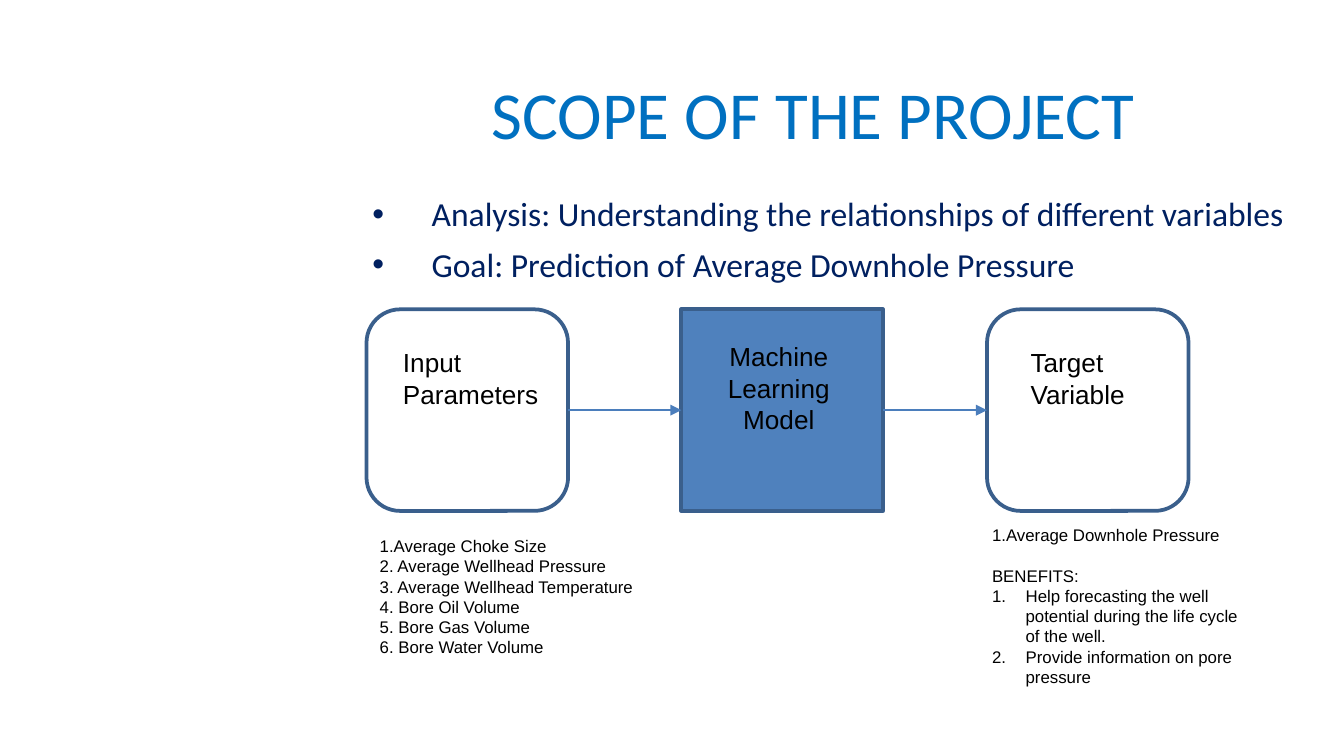
"""Build the project scope slide: two aims and a three-stage flow from inputs to target."""
from dataclasses import dataclass

from lxml.etree import SubElement
from pptx import Presentation
from pptx.dml.color import RGBColor as Rgb
from pptx.enum.shapes import MSO_CONNECTOR as Link, MSO_SHAPE as Shape
from pptx.enum.text import MSO_ANCHOR as Anchor, MSO_AUTO_SIZE as Fit, PP_ALIGN as Align
from pptx.oxml.ns import qn
from pptx.util import Inches, Pt


@dataclass(frozen=True)
class Theme:
    heading: str = "0070C0"
    aim: str = "002060"
    ink: str = "000000"
    paper: str = "FFFFFF"
    model: str = "4F81BD"
    border: str = "3A5F8C"
    arrow: str = "4B7EBC"
    heading_font: str = "Calibri"
    label_font: str = "Arial"
    heading_size: float = 36
    aim_size: float = 18
    label_size: float = 14
    note_size: float = 9


theme = Theme()
deck = Presentation()
deck.slide_width = Inches(10)
deck.slide_height = deck.slide_width * 9 // 16
slide = deck.slides.add_slide(deck.slide_layouts[5])
cell = deck.slide_width / 100


def grid(*cells):
    return [round(count * cell) for count in cells]


def write(frame, text, size=theme.note_size, font=theme.label_font, color=theme.ink,
          align=Align.LEFT, anchor=Anchor.TOP, marker=None, indent=0, hang=0, gap=0, more=False):
    frame.word_wrap, frame.auto_size, frame.vertical_anchor = True, Fit.NONE, anchor
    for index, line in enumerate(text.split("\n")):
        following = more or index > 0
        paragraph = frame.add_paragraph() if following else frame.paragraphs[0]
        paragraph.alignment = align
        if following:
            paragraph.space_before = Pt(gap)
        if marker:
            props = paragraph._p.get_or_add_pPr()
            props.set("marL", str(Inches(indent)))
            props.set("indent", str(-Inches(hang)))
            SubElement(props, qn("a:buFont"), typeface="Arial")
            if marker == "1.":
                SubElement(props, qn("a:buAutoNum"), type="arabicPeriod")
            else:
                SubElement(props, qn("a:buChar"), char=marker)
        run = paragraph.add_run()
        run.text = line
        run.font.size, run.font.name = Pt(size), font
        run.font.color.rgb = Rgb.from_string(color)


title = slide.shapes.title
title.left, title.top, title.width, title.height = grid(26.15, 4.4, 68.7, 7.9)
write(title.text_frame, "SCOPE OF THE PROJECT", size=theme.heading_size,
      font=theme.heading_font, color=theme.heading, align=Align.CENTER, anchor=Anchor.MIDDLE)

aims = slide.shapes.add_textbox(*grid(26.13, 13.9, 71.9, 37.4))
write(aims.text_frame,
      "Analysis: Understanding the relationships of different variables\n"
      "Goal: Prediction of Average Downhole Pressure",
      size=theme.aim_size, font=theme.heading_font, color=theme.aim,
      marker="•", indent=0.5, hang=0.44, gap=5.6)

stages = []
for outline, left, fill, label, label_area, align in (
    (Shape.ROUNDED_RECTANGLE, 27.27, theme.paper, "Input Parameters", (29, 25.3, 12.2, 8.1), Align.LEFT),
    (Shape.RECTANGLE, 50.7, theme.model, "Machine Learning Model", (52.45, 24.87, 11, 8.1), Align.CENTER),
    (Shape.ROUNDED_RECTANGLE, 73.44, theme.paper, "Target\nVariable", (75.7, 25.3, 11.4, 8.1), Align.LEFT),
):
    stage = slide.shapes.add_shape(outline, *grid(left, 23.02, 15, 15))
    stage.shadow.inherit = False
    stage.fill.solid()
    stage.fill.fore_color.rgb = Rgb.from_string(fill)
    stage.line.color.rgb = Rgb.from_string(theme.border)
    stage.line.width = Pt(2)
    stages.append(stage)
    caption = slide.shapes.add_textbox(*grid(*label_area))
    write(caption.text_frame, label, size=theme.label_size, align=align)

for source, target in zip(stages, stages[1:]):
    arrow = slide.shapes.add_connector(Link.STRAIGHT, 0, 0, 0, 0)
    arrow.begin_connect(source, 3)
    arrow.end_connect(target, 1)
    arrow.line.color.rgb = Rgb.from_string(theme.arrow)
    arrow.line.width = Pt(0.75)
    SubElement(arrow.line._get_or_add_ln(), qn("a:tailEnd"), type="triangle")
    SubElement(arrow._element.spPr, qn("a:effectLst"))

inputs = slide.shapes.add_textbox(*grid(27.27, 39.38, 21.3, 14.8))
write(inputs.text_frame,
      "1.Average Choke Size\n2. Average Wellhead Pressure\n3. Average Wellhead Temperature\n"
      "4. Bore Oil Volume\n5. Bore Gas Volume\n6. Bore Water Volume")

outcome = slide.shapes.add_textbox(*grid(72.83, 38.58, 20.3, 19.4)).text_frame
write(outcome, "1.Average Downhole Pressure")
write(outcome, "BENEFITS:", gap=10.8, more=True)
write(outcome,
      "Help forecasting the well potential during the life cycle of the well.\n"
      "Provide information on pore pressure",
      marker="1.", indent=0.25, hang=0.25, more=True)

deck.save("out.pptx")
